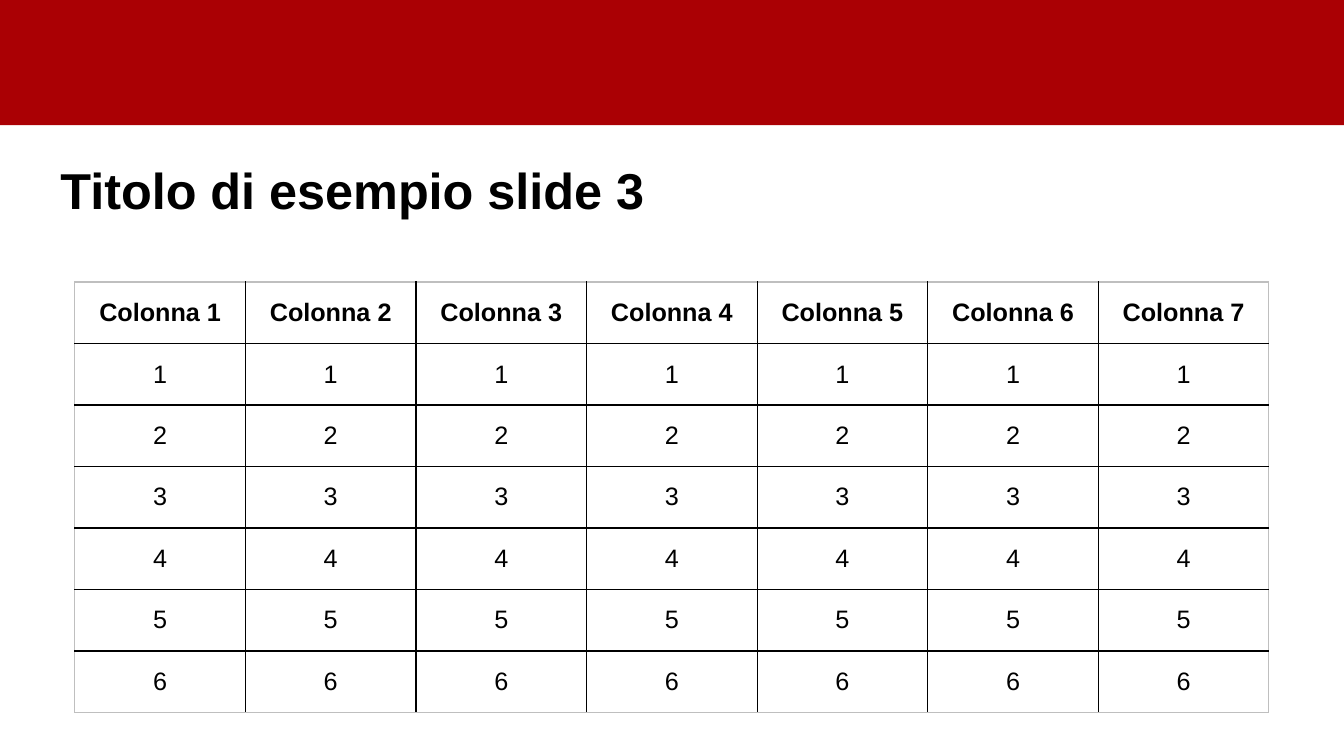
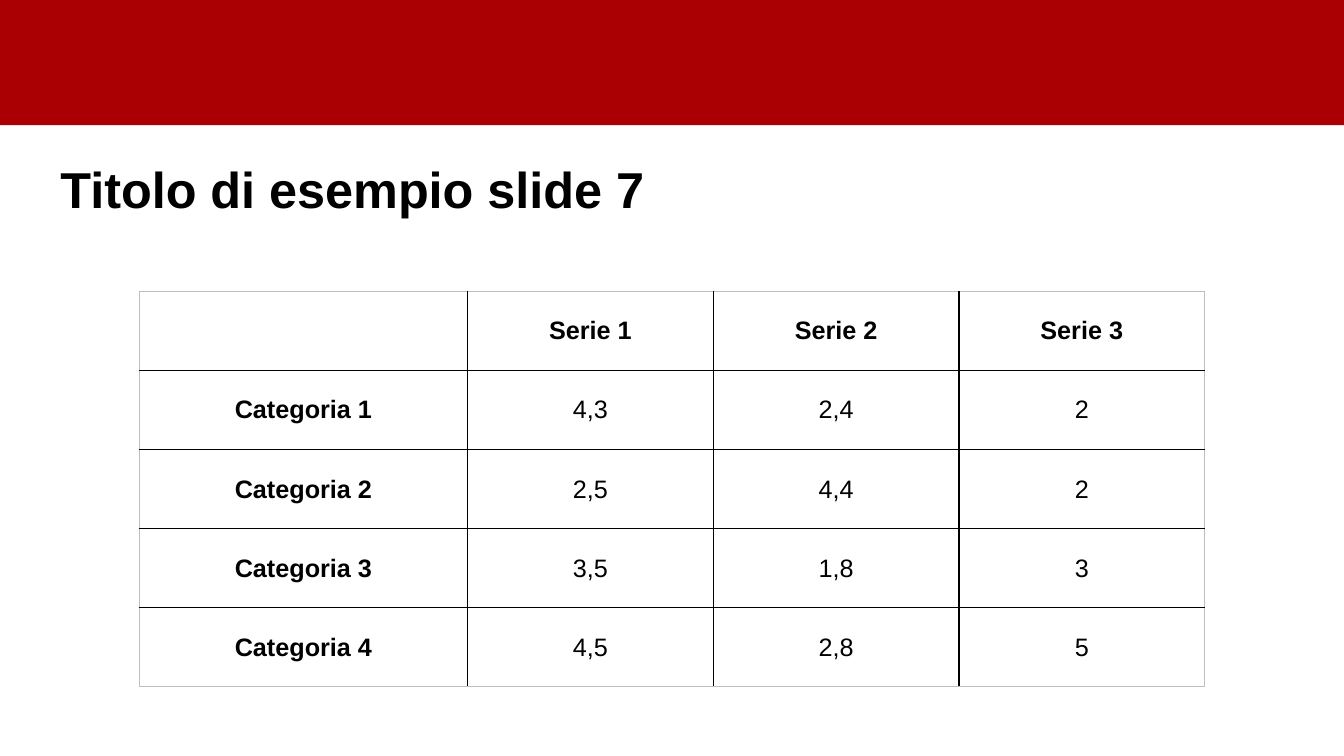
import dataclasses

import lxml.etree
import pptx
import pptx.dml.color
import pptx.enum.shapes
import pptx.enum.text
import pptx.oxml.ns
import pptx.util

EMU_PER_PX = 6350
PAGE_WIDTH, PAGE_HEIGHT = 1920, 1080


@dataclasses.dataclass(frozen=True)
class Theme:
    """Colours, font and sizes shared by the slides."""
    band: str = "AA0004"
    ink: str = "000000"
    frame: str = "BFBFBF"
    font: str = "Arial"
    title_size: int = 36
    cell_size: int = 18
    line_width: int = 1


THEME = Theme()


def px(length):
    """Turn pixels into EMU."""
    return pptx.util.Emu(round(length * EMU_PER_PX))


def color(value):
    """Turn a hex string into a colour."""
    return pptx.dml.color.RGBColor.from_string(value)


def add_span(para, text, size, bold):
    """Add one formatted run to a paragraph."""
    span = para.add_run()
    span.text = text
    span.font.name = THEME.font
    span.font.size = pptx.util.Pt(size)
    span.font.bold = bold
    span.font.color.rgb = color(THEME.ink)


def add_band(page, box):
    """Draw the red band in the box."""
    band = page.shapes.add_shape(
        pptx.enum.shapes.MSO_SHAPE.RECTANGLE, *map(px, box))
    band.shadow.inherit = False
    band.fill.solid()
    band.fill.fore_color.rgb = color(THEME.band)
    band.line.fill.background()


def write_title(page, text, box):
    """Place and fill the title placeholder."""
    title = page.shapes.title
    title.left, title.top, title.width, title.height = map(px, box)
    frame = title.text_frame
    frame.word_wrap = True
    frame.auto_size = pptx.enum.text.MSO_AUTO_SIZE.NONE
    frame.vertical_anchor = pptx.enum.text.MSO_ANCHOR.MIDDLE
    para = frame.paragraphs[0]
    para.alignment = pptx.enum.text.PP_ALIGN.LEFT
    para.line_spacing = 0.9
    add_span(para, text, THEME.title_size, True)


def add_titled_page(deck, text, title_top):
    """Add a slide with the shared band and title."""
    page = deck.slides.add_slide(deck.slide_layouts[5])
    add_band(page, (0, 0, PAGE_WIDTH, 179))
    write_title(page, text, (72, title_top, PAGE_WIDTH - 72, 187))
    return page


def draw_borders(cell, outer_sides):
    """Rule a cell in black, with grey on the table's outer sides."""
    properties = cell._tc.get_or_add_tcPr()
    for index, side in enumerate("LRTB"):
        line = lxml.etree.Element(
            pptx.oxml.ns.qn("a:ln" + side),
            w=str(pptx.util.Pt(THEME.line_width)))
        fill = lxml.etree.SubElement(line, pptx.oxml.ns.qn("a:solidFill"))
        lxml.etree.SubElement(
            fill, pptx.oxml.ns.qn("a:srgbClr"),
            val=THEME.frame if side in outer_sides else THEME.ink)
        properties.insert(index, line)


def add_grid(page, rows, box, column_widths, header_column=False, tight=False):
    """Add a ruled table with equal rows inside the box."""
    row_count, column_count = len(rows), len(column_widths)
    table = page.shapes.add_table(
        row_count, column_count, *map(px, box)).table
    table.first_row = table.horz_banding = False
    for column, width in zip(table.columns, column_widths):
        column.width = px(width)
    for row in table.rows:
        row.height = px(box[3] / row_count)
    for y, values in enumerate(rows):
        for x, value in enumerate(values):
            cell = table.cell(y, x)
            cell.fill.background()
            edges = {"L": x == 0, "R": x == column_count - 1,
                     "T": y == 0, "B": y == row_count - 1}
            draw_borders(cell, [side for side, outer in edges.items() if outer])
            cell.vertical_anchor = pptx.enum.text.MSO_ANCHOR.MIDDLE
            if tight:
                cell.margin_left = cell.margin_right = cell.margin_bottom = 0
                cell.margin_top = px(1)
            if value:
                para = cell.text_frame.paragraphs[0]
                para.alignment = pptx.enum.text.PP_ALIGN.CENTER
                bold = y == 0 or (header_column and x == 0)
                add_span(para, value, THEME.cell_size, bold)


def build_columns_slide(deck):
    """Add the slide with the seven-column table."""
    page = add_titled_page(deck, "Titolo di esempio slide 3", 182)
    count, box = 7, (107, 403, 1706, 615)
    rows = [[f"Colonna {number}" for number in range(1, count + 1)]]
    rows += [[str(number)] * count for number in range(1, 7)]
    add_grid(page, rows, box, [box[2] / count] * count)


def build_series_slide(deck):
    """Add the slide with the table of categories and series."""
    page = add_titled_page(deck, "Titolo di esempio slide 7", 181)
    rows = [
        ["", "Serie 1", "Serie 2", "Serie 3"],
        ["Categoria 1", "4,3", "2,4", "2"],
        ["Categoria 2", "2,5", "4,4", "2"],
        ["Categoria 3", "3,5", "1,8", "3"],
        ["Categoria 4", "4,5", "2,8", "5"],
    ]
    widths = [469] + [351] * 3
    add_grid(page, rows, (199, 416, sum(widths), 565), widths,
             header_column=True, tight=True)


def main():
    """Build and save the deck."""
    deck = pptx.Presentation()
    deck.slide_width, deck.slide_height = px(PAGE_WIDTH), px(PAGE_HEIGHT)
    build_columns_slide(deck)
    build_series_slide(deck)
    deck.save("out.pptx")


if __name__ == "__main__":
    main()
